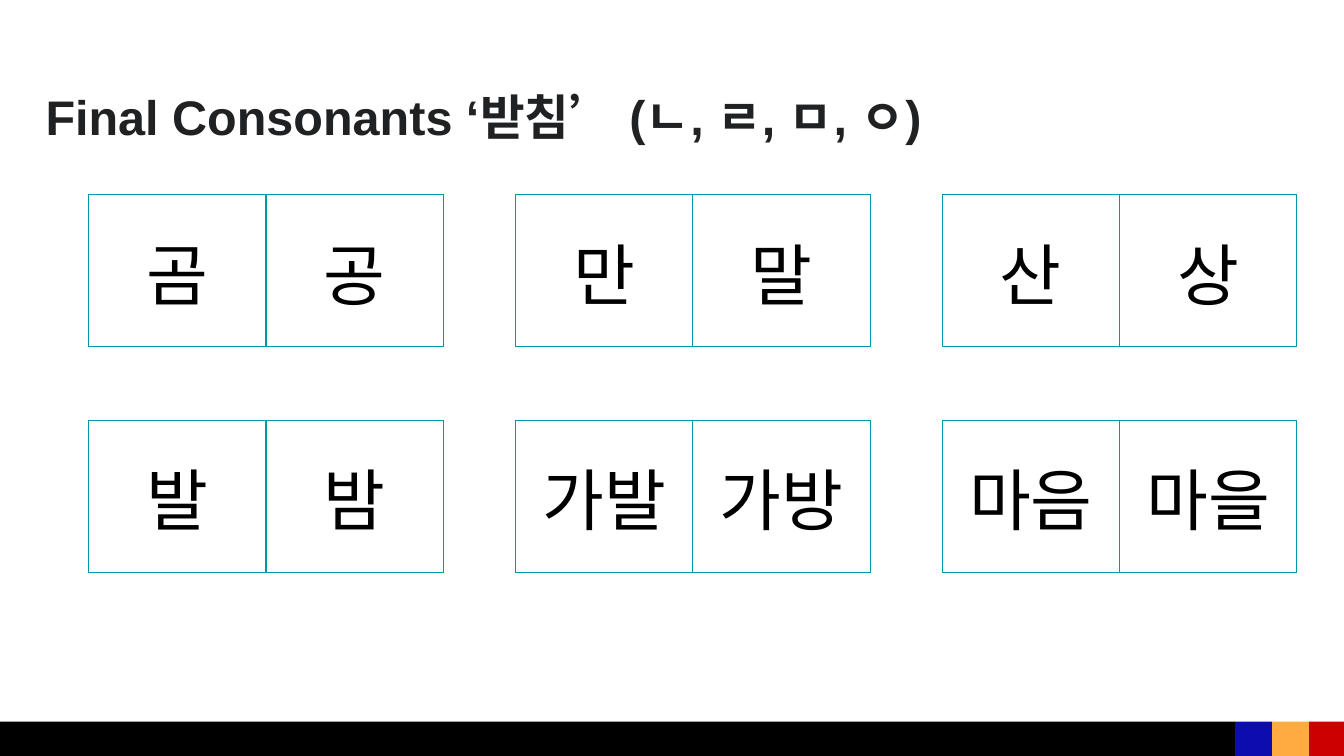
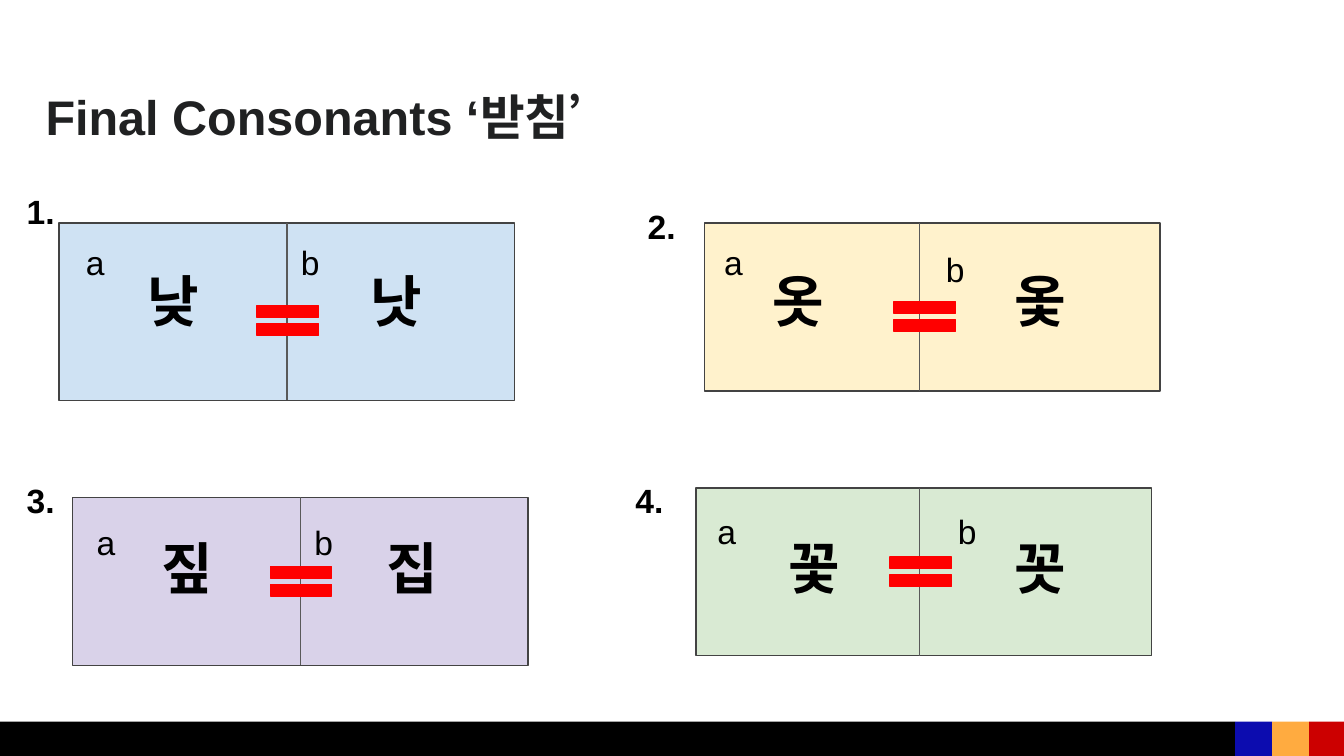
import pptx
import pptx.util
import pptx.dml.color
import pptx.enum.shapes
import pptx.enum.text
import pptx.oxml.ns
from lxml import etree

# Content: word pairs in rows of tables
WORD_GRID = [
    [("곰", "공"), ("만", "말"), ("산", "상")],
    [("발", "밤"), ("가발", "가방"), ("마음", "마을")],
]
TITLES = ["Final Consonants ‘받침’ (ㄴ, ㄹ, ㅁ, ㅇ)", "Final Consonants ‘받침’"]

# Content: panels of words that sound alike; places are (left, top) in inches
PANELS = [
    dict(number="1.", number_at=(0.1, 1.32), fill="CFE2F3", box=(0.44, 1.66, 3.39, 1.32),
         divider=2.14, equal_at=(1.83, 2.2), words_top=1.88,
         words=[("낮", 1.0), ("낫", 2.66)], labels=[("a", 0.54, 1.7), ("b", 2.14, 1.7)]),
    dict(number="2.", number_at=(4.72, 1.43), fill="FFF2CC", box=(5.24, 1.66, 3.39, 1.25),
         divider=6.84, equal_at=(6.57, 2.17), words_top=1.88,
         words=[("옷", 5.65), ("옻", 7.45)], labels=[("a", 5.29, 1.7), ("b", 6.94, 1.75)]),
    dict(number="3.", number_at=(0.1, 3.47), fill="D9D2E9", box=(0.54, 3.7, 3.39, 1.25),
         divider=2.24, equal_at=(1.93, 4.14), words_top=3.87,
         words=[("짚", 1.1), ("집", 2.78)], labels=[("a", 0.62, 3.78), ("b", 2.24, 3.78)]),
    dict(number="4.", number_at=(4.63, 3.47), fill="D9EAD3", box=(5.18, 3.63, 3.39, 1.25),
         divider=6.84, equal_at=(6.54, 4.07), words_top=3.87,
         words=[("꽃", 5.77), ("꼿", 7.45)], labels=[("a", 5.24, 3.7), ("b", 7.03, 3.7)]),
]

THEME = dict(
    font="Arial", ink="000000", title_ink="202122", paper="FFFFFF",
    title=26, cell=36, word=30, label=18, line=0.75, inset=0.1,
    grid_line="0097A7", panel_line="434343", divider="595959", equal="FF0000",
    band="000000", band_blocks=["0C0CAF", "FFAB40", "CC0000"],
)

# Grid of the tables
GRID_LEFT, GRID_TOP = 0.66, 1.45
COLUMN_STEP, ROW_STEP = 3.175, 1.68
CELL_WIDTH, CELL_HEIGHT = 1.32, 1.13

# Footer band
BAND_TOP, BAND_HEIGHT, BAND_WIDTH, BLOCK_WIDTH = 5.37, 0.29, 9.2, 0.275

SHAPES = pptx.enum.shapes.MSO_SHAPE
ANCHOR = pptx.enum.text.MSO_ANCHOR
inches = pptx.util.Inches


def color(value):
    return pptx.dml.color.RGBColor.from_string(value)


def write(para, text, size, ink=THEME["ink"], bold=False):
    span = para.add_run()
    span.text = text
    font = span.font
    font.name, font.size, font.bold = THEME["font"], pptx.util.Pt(size), bold
    font.color.rgb = color(ink)


def add_text(page, text, place, size, anchor=ANCHOR.TOP, **style):
    box = page.shapes.add_textbox(*map(inches, place))
    frame = box.text_frame
    frame.word_wrap = True
    frame.vertical_anchor = anchor
    inset = inches(THEME["inset"])
    frame.margin_left = frame.margin_right = inset
    frame.margin_top = frame.margin_bottom = inset
    write(frame.paragraphs[0], text, size, **style)


def add_block(page, kind, place, fill, outline=None):
    shape = page.shapes.add_shape(kind, *map(inches, place))
    shape.shadow.inherit = False
    shape.fill.solid()
    shape.fill.fore_color.rgb = color(fill)
    if outline:
        shape.line.color.rgb = color(outline)
        shape.line.width = pptx.util.Pt(THEME["line"])
    else:
        shape.line.fill.background()
    return shape


def add_page(deck, title):
    page = deck.slides.add_slide(deck.slide_layouts[6])
    page.background.fill.solid()
    page.background.fill.fore_color.rgb = color(THEME["paper"])
    add_block(page, SHAPES.RECTANGLE, (-0.01, BAND_TOP, BAND_WIDTH, BAND_HEIGHT), THEME["band"])
    for index, fill in enumerate(THEME["band_blocks"]):
        left = BAND_WIDTH - 0.01 + index * BLOCK_WIDTH
        add_block(page, SHAPES.RECTANGLE, (left, BAND_TOP, BLOCK_WIDTH, BAND_HEIGHT), fill)
    add_text(page, title, (0.24, 0.55, 9.32, 0.63), THEME["title"],
             anchor=ANCHOR.MIDDLE, ink=THEME["title_ink"], bold=True)
    return page


def add_borders(cell):
    qn = pptx.oxml.ns.qn
    properties = cell._tc.get_or_add_tcPr()
    for index, side in enumerate(("a:lnL", "a:lnR", "a:lnT", "a:lnB")):
        line = etree.Element(qn(side), w=str(pptx.util.Pt(THEME["line"])))
        fill = etree.SubElement(line, qn("a:solidFill"))
        etree.SubElement(fill, qn("a:srgbClr"), val=THEME["grid_line"])
        properties.insert(index, line)


def add_pair_table(page, pair, left, top):
    width = CELL_WIDTH * len(pair)
    frame = page.shapes.add_table(1, len(pair), *map(inches, (left, top, width, CELL_HEIGHT)))
    table = frame.table
    table.first_row = table.horz_banding = False
    for column, word in enumerate(pair):
        cell = table.cell(0, column)
        cell.fill.background()
        cell.vertical_anchor = ANCHOR.MIDDLE
        inset = inches(THEME["inset"])
        cell.margin_left = cell.margin_right = inset
        cell.margin_top = cell.margin_bottom = inset
        para = cell.text_frame.paragraphs[0]
        para.alignment = pptx.enum.text.PP_ALIGN.CENTER
        write(para, word, THEME["cell"])
        add_borders(cell)


def add_divider(page, panel, box):
    left, top, width, height = panel["box"]
    x = panel["divider"]
    line = page.shapes.add_connector(pptx.enum.shapes.MSO_CONNECTOR.STRAIGHT,
                                     *map(inches, (x, top, x, top + height)))
    line.line.color.rgb = color(THEME["divider"])
    line.line.width = pptx.util.Pt(THEME["line"])
    etree.SubElement(line._element.spPr, pptx.oxml.ns.qn("a:effectLst"))
    if abs(left + width / 2 - x) < 0.01:
        line.begin_connect(box, 0)
        line.end_connect(box, 2)


def add_panel(page, panel):
    box = add_block(page, SHAPES.RECTANGLE, panel["box"], panel["fill"], THEME["panel_line"])
    add_divider(page, panel, box)
    for word, left in panel["words"]:
        add_text(page, word, (left, panel["words_top"], 0.8, 0.99), THEME["word"], bold=True)
    for letter, left, top in panel["labels"]:
        add_text(page, letter, (left, top, 0.34, 0.58), THEME["label"])
    add_text(page, panel["number"], (*panel["number_at"], 0.55, 0.37), THEME["label"], bold=True)
    equal = add_block(page, SHAPES.MATH_EQUAL, (*panel["equal_at"], 0.62, 0.37),
                      THEME["equal"], THEME["equal"])
    equal.adjustments[0], equal.adjustments[1] = 0.24, 0.12


def main():
    deck = pptx.Presentation()
    deck.slide_width = inches(10)
    deck.slide_height = deck.slide_width * 9 // 16

    # Word pairs
    page = add_page(deck, TITLES[0])
    for row, pairs in enumerate(WORD_GRID):
        for column, pair in enumerate(pairs):
            add_pair_table(page, pair, GRID_LEFT + column * COLUMN_STEP, GRID_TOP + row * ROW_STEP)

    # Words that sound alike
    page = add_page(deck, TITLES[1])
    for panel in PANELS:
        add_panel(page, panel)

    deck.save("out.pptx")


if __name__ == "__main__":
    main()
